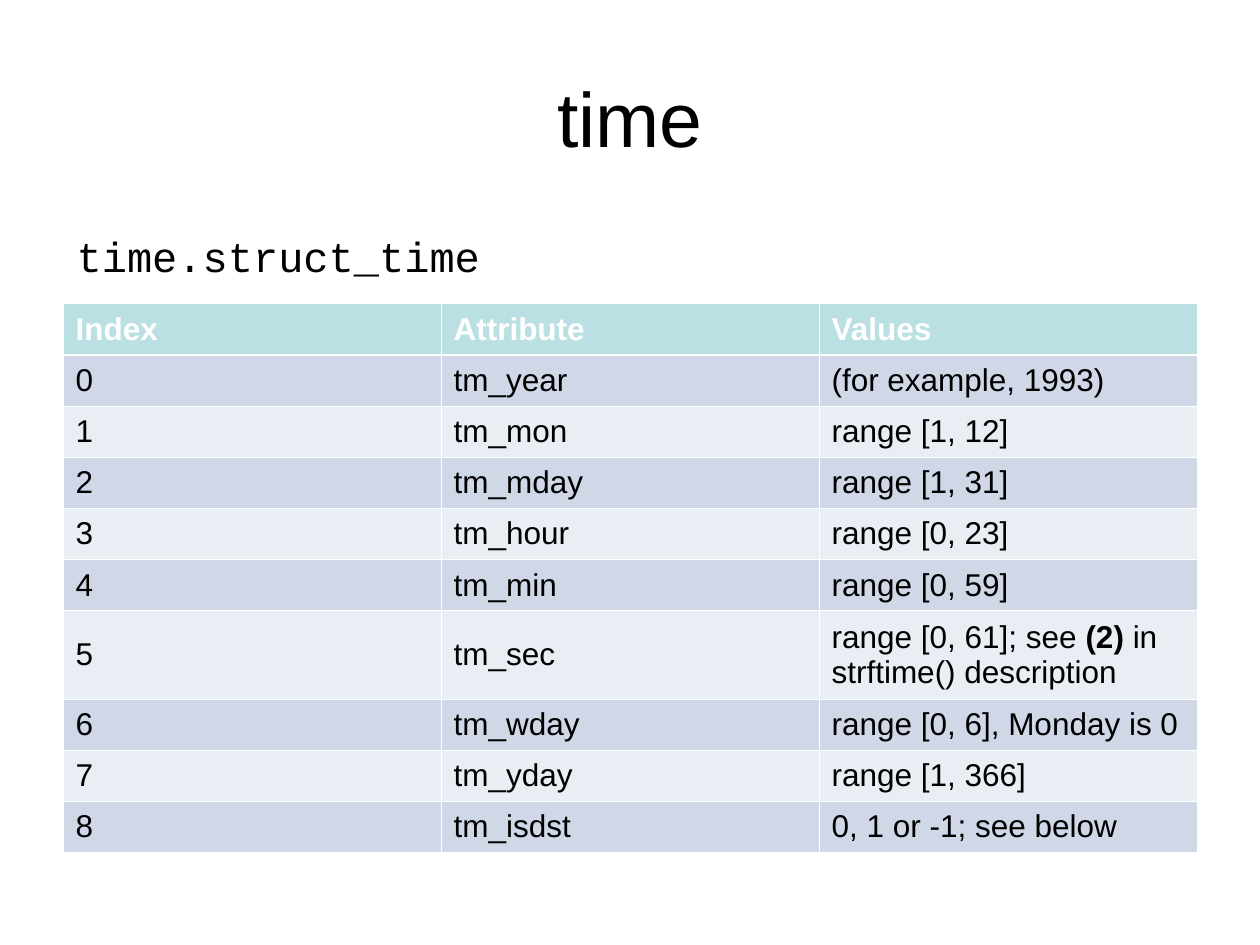
from dataclasses import dataclass

from lxml.etree import SubElement
from pptx import Presentation
from pptx.dml.color import RGBColor
from pptx.enum.text import MSO_ANCHOR, PP_ALIGN
from pptx.oxml.ns import qn
from pptx.util import Inches, Pt


@dataclass(frozen=True)
class Theme:
    sans: str = "Arial"
    mono: str = "Courier New"
    title_size: float = 44
    type_name_size: float = 24
    cell_size: float = 18
    ink: str = "000000"
    header_ink: str = "FFFFFF"
    header_fill: str = "BBE0E3"
    bands: tuple = ("D0D8E8", "E9EDF4")
    rule: str = "FFFFFF"
    thin: float = 0.45
    thick: float = 1.47


THEME = Theme()
SLIDE_WIDTH, SLIDE_HEIGHT = Inches(10), Inches(7.5)
MARGIN = 0.05 * SLIDE_WIDTH
CONTENT_WIDTH = SLIDE_WIDTH - 2 * MARGIN
TABLE_TOP, TABLE_HEIGHT = Inches(2.41), Inches(4.36)
TALL_ROW_HEIGHT = Inches(0.7)

HEADER = ("Index", "Attribute", "Values")
# Each value is a list of (text, bold) runs.
FIELDS = (
    ("tm_year", [("(for example, 1993)", False)]),
    ("tm_mon", [("range [1, 12]", False)]),
    ("tm_mday", [("range [1, 31]", False)]),
    ("tm_hour", [("range [0, 23]", False)]),
    ("tm_min", [("range [0, 59]", False)]),
    ("tm_sec", [("range [0, 61]; see ", False), ("(2)", True),
                (" in strftime() description", False)]),
    ("tm_wday", [("range [0, 6], Monday is 0", False)]),
    ("tm_yday", [("range [1, 366]", False)]),
    ("tm_isdst", [("0, 1 or -1; see below", False)]),
)
TALL_ROW = 1 + [attribute for attribute, _ in FIELDS].index("tm_sec")


def add_run(paragraph, text, size, font=THEME.sans, color=THEME.ink, bold=False):
    run = paragraph.add_run()
    run.text = text
    run.font.name = font
    run.font.size = Pt(size)
    run.font.bold = bold
    run.font.color.rgb = RGBColor.from_string(color)


def add_text_area(slide, left, top, height, anchor):
    """Add a wrapping, content-wide text box and return its paragraph."""
    area = slide.shapes.add_textbox(int(left), int(top), int(CONTENT_WIDTH), int(height))
    area.text_frame.word_wrap = True
    area.text_frame.vertical_anchor = anchor
    return area.text_frame.paragraphs[0]


def add_title(slide):
    title = add_text_area(slide, MARGIN, 0.04 * SLIDE_HEIGHT, Inches(1.25), MSO_ANCHOR.MIDDLE)
    title.alignment = PP_ALIGN.CENTER
    add_run(title, "time", THEME.title_size)


def add_type_name(slide):
    type_name = add_text_area(slide, Inches(0.51), Inches(1.78), Inches(0.63), MSO_ANCHOR.TOP)
    type_name.space_before = Pt(6)
    add_run(type_name, "time.struct_time", THEME.type_name_size, THEME.mono)


def rule_cell(cell, row):
    """Draw the cell's borders, heavier between header and body."""
    widths = {
        "L": THEME.thin,
        "R": THEME.thin,
        "T": THEME.thick if row == 1 else THEME.thin,
        "B": THEME.thick if row == 0 else THEME.thin,
    }
    properties = cell._tc.get_or_add_tcPr()
    for side, width in widths.items():
        line = SubElement(properties, qn(f"a:ln{side}"), w=str(int(Pt(width))))
        SubElement(SubElement(line, qn("a:solidFill")), qn("a:srgbClr"), val=THEME.rule)


def fill_cell(cell, row, runs):
    is_header = row == 0
    rule_cell(cell, row)
    fill = THEME.header_fill if is_header else THEME.bands[(row - 1) % 2]
    cell.fill.solid()
    cell.fill.fore_color.rgb = RGBColor.from_string(fill)
    cell.vertical_anchor = MSO_ANCHOR.MIDDLE
    ink = THEME.header_ink if is_header else THEME.ink
    for text, bold in runs:
        add_run(cell.text_frame.paragraphs[0], text, THEME.cell_size, color=ink, bold=bold)


def add_field_table(slide):
    rows = [[[(label, True)] for label in HEADER]]
    for index, (attribute, values) in enumerate(FIELDS):
        rows.append([[(str(index), False)], [(attribute, False)], values])

    table = slide.shapes.add_table(
        len(rows), len(HEADER), int(MARGIN), TABLE_TOP, int(CONTENT_WIDTH), TABLE_HEIGHT
    ).table
    row_height = (TABLE_HEIGHT - TALL_ROW_HEIGHT) // (len(rows) - 1)
    for row, cells in enumerate(rows):
        table.rows[row].height = TALL_ROW_HEIGHT if row == TALL_ROW else row_height
        for column, runs in enumerate(cells):
            fill_cell(table.cell(row, column), row, runs)


def main():
    presentation = Presentation()
    presentation.slide_width, presentation.slide_height = SLIDE_WIDTH, SLIDE_HEIGHT
    slide = presentation.slides.add_slide(presentation.slide_layouts[6])
    add_title(slide)
    add_type_name(slide)
    add_field_table(slide)
    presentation.save("out.pptx")


if __name__ == "__main__":
    main()
